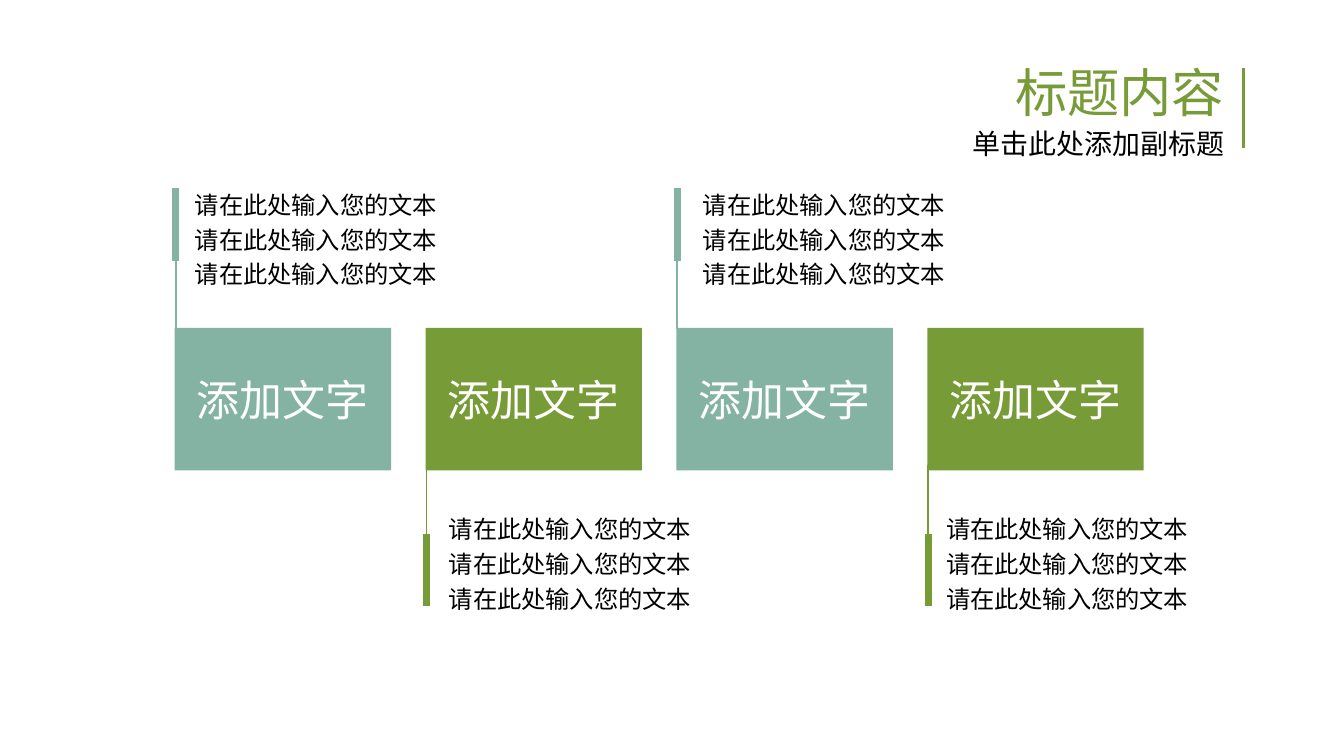
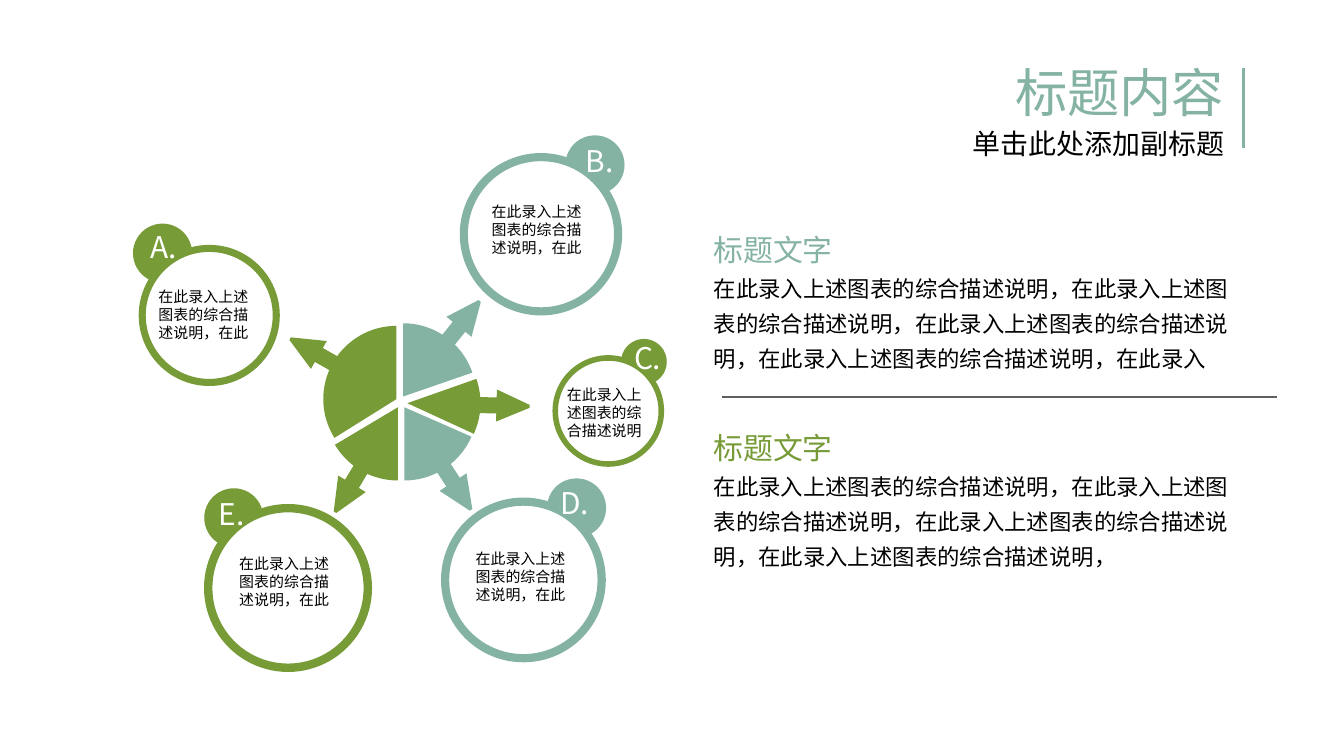
from math import acos, atan2, cos, degrees, hypot, radians, sin

from lxml import etree
from pptx import Presentation
from pptx.dml.color import RGBColor
from pptx.enum import shapes, text
from pptx.oxml.ns import qn
from pptx.util import Pt

GREEN = RGBColor(0x77, 0x9B, 0x37)
TEAL = RGBColor(0x84, 0xB3, 0xA3)
GREY = RGBColor(0x5F, 0x5F, 0x5F)
BLACK = RGBColor(0, 0, 0)
WHITE = RGBColor(255, 255, 255)
FONT = "Noto Sans CJK SC"

TITLE, SUBTITLE = "标题内容", "单击此处添加副标题"

# Cards: label, colour, left of the note, note above the card
CARD_NOTE = ["请在此处输入您的文本"] * 3
CARDS = [
    ("添加文字", TEAL, 97.9, True),
    ("添加文字", GREEN, 234, False),
    ("添加文字", TEAL, 370.1, True),
    ("添加文字", GREEN, 500.4, False),
]
CARD_LEFT, CARD_TOP, CARD_PITCH = 93.6, 175.7, 134.4
CARD_WIDTH, CARD_HEIGHT = 115.9, 76.3
# Stem ends and note top, for notes above and below
STEMS = {
    True: {"thin": (176.4, 138), "thick": (139.7, 100.8), "note_top": 95},
    False: {"thin": (249, 288), "thick": (286, 324.7), "note_top": 267.8},
}

# Pie sectors: colour, apex, start, end and arrow angle (clockwise from east)
SECTORS = [
    (TEAL, (216, 212.4), 270, 341, 308.7),
    (GREEN, (212.4, 213.8), 148, 270, 209.6),
    (GREEN, (218.2, 216), -19.4, 24.7, 1.5),
    (TEAL, (216.7, 218.2), 23.7, 90, 57),
    (GREEN, (213.1, 218.2), 90, 149.2, 120.9),
]
SECTOR_RADIUS, ARROW_NECK, ARROW_TIP = 39.2, 47.8, 65.5
SHAFT_HALF, HEAD_HALF, TIP_HALF = 4.3, 8.6, 0.8

# Bubbles: letter, colour, ring centre and diameter, badge centre and diameter,
# letter box (left, top, width), note box (left, top, width), note
LONG_NOTE = "在此录入上述图表的综合描述说明，在此"
SHORT_NOTE = "在此录入上述图表的综合描述说明"
BUBBLES = [
    ("A.", GREEN, (112.1, 169), 75.6, (87.1, 135.7), 31.7,
     (73.4, 118.8, 29.5), (77.8, 150.5, 67), LONG_NOTE),
    ("B.", TEAL, (289.8, 125.5), 87, (318.8, 88.4), 31.7,
     (306.7, 72.7, 29.5), (256.3, 105.1, 67), LONG_NOTE),
    ("C.", GREEN, (325.9, 220.2), 59.8, (345, 193.9), 24.5,
     (332.6, 178.6, 31), (296.6, 203, 57.6), SHORT_NOTE),
    ("D.", TEAL, (280.4, 310.7), 88.3, (308.9, 272.2), 31.7,
     (293, 256.3, 31), (247.7, 290.9, 64.1), LONG_NOTE),
    ("E.", GREEN, (154.3, 315), 90, (125.3, 277.5), 31.7,
     (110.2, 262.1, 28.8), (121, 293.8, 63.4), LONG_NOTE),
]
RING_RATIO = 0.05

SENTENCE = "在此录入上述图表的综合描述说明，"
SECTIONS = [
    ("标题文字", TEAL, SENTENCE * 4 + "在此录入"),
    ("标题文字", GREEN, SENTENCE * 4),
]


def set_all(target, values):
    for name, value in values.items():
        setattr(target, name, value)


def place(shape, left, top, width, height):
    set_all(shape, {"left": Pt(left), "top": Pt(top),
                    "width": Pt(width), "height": Pt(height)})


def write(shape, paras, spacing=1.0, align=text.PP_ALIGN.LEFT,
          anchor=text.MSO_ANCHOR.TOP, wrap=True, inset=7.2):
    """Fill a shape with (text, size, colour, space before) paragraphs."""
    frame = shape.text_frame
    set_all(frame, {
        "word_wrap": wrap, "auto_size": text.MSO_AUTO_SIZE.NONE,
        "vertical_anchor": anchor,
        "margin_left": Pt(inset), "margin_right": Pt(inset),
        "margin_top": Pt(3.6), "margin_bottom": Pt(3.6),
    })
    for index, (words, size, colour, before) in enumerate(paras):
        para = frame.add_paragraph() if index else frame.paragraphs[0]
        set_all(para, {"alignment": align, "line_spacing": spacing,
                       "space_before": Pt(before), "space_after": Pt(0)})
        if shape.is_placeholder:
            props = para._p.get_or_add_pPr()
            props.set("marL", "0")
            props.set("indent", "0")
            etree.SubElement(props, qn("a:buNone"))
        span = para.add_run()
        span.text = words
        set_all(span.font, {"size": Pt(size), "name": FONT})
        span.font.color.rgb = colour
        east_asian = etree.SubElement(span._r.get_or_add_rPr(), qn("a:ea"))
        east_asian.set("typeface", FONT)


def add_text(page, left, top, width, height, paras, **style):
    box = page.shapes.add_textbox(Pt(left), Pt(top), Pt(width), Pt(height))
    write(box, paras, **style)


def paint(shape, colour):
    shape.shadow.inherit = False
    shape.fill.solid()
    shape.fill.fore_color.rgb = colour
    shape.line.fill.background()


def add_shape(page, kind, left, top, width, height, colour):
    shape = page.shapes.add_shape(kind, Pt(left), Pt(top), Pt(width), Pt(height))
    paint(shape, colour)
    return shape


def add_line(page, start, end, colour, weight):
    line = page.shapes.add_connector(
        shapes.MSO_CONNECTOR.STRAIGHT, *map(Pt, start + end))
    line.line.color.rgb = colour
    line.line.width = Pt(weight)
    etree.SubElement(line._element.spPr, qn("a:effectLst"))


def add_page(deck, layout, colour):
    page = deck.slides.add_slide(deck.slide_layouts[layout])
    place(page.shapes.title, 388, 32.4, 275, 36)
    heading = {"spacing": 0.9, "align": text.PP_ALIGN.RIGHT}
    write(page.shapes.title, [(TITLE, 28, colour, 0)], **heading)
    add_text(page, 388, 66.2, 275, 28.8, [(SUBTITLE, 15, BLACK, 0)], **heading)
    add_line(page, (666, 36.7), (666, 79.2), colour, 1.5)
    return page


def add_card(page, index, label, colour, note_left, above):
    left = CARD_LEFT + index * CARD_PITCH
    stem = STEMS[above]
    for part, weight in (("thin", 1), ("thick", 3.5)):
        start, end = stem[part]
        add_line(page, (left + 0.5, start), (left + 0.5, end), colour, weight)
    anchor = text.MSO_ANCHOR.TOP if above else text.MSO_ANCHOR.BOTTOM
    add_text(page, note_left, stem["note_top"], 155.5, 64.1,
             [(line, 13, BLACK, 0) for line in CARD_NOTE],
             spacing=1.2, anchor=anchor, inset=6.5)
    card = add_shape(page, shapes.MSO_SHAPE.RECTANGLE, left, CARD_TOP,
                     CARD_WIDTH, CARD_HEIGHT, colour)
    write(card, [(label, 23, WHITE, 0)], align=text.PP_ALIGN.CENTER,
          anchor=text.MSO_ANCHOR.MIDDLE, inset=6.5)


def add_sector(page, colour, apex, start, end, arrow):
    """Draw a pie sector whose arc carries an arrow pointing outwards."""
    def polar(angle, along, across=0):
        turn = radians(angle)
        return (Pt(apex[0] + along * cos(turn) - across * sin(turn)),
                Pt(apex[1] + along * sin(turn) + across * cos(turn)))

    def arc(first, last, steps=16):
        return [polar(first + (last - first) * step / steps, SECTOR_RADIUS)
                for step in range(steps + 1)]

    half = degrees(SHAFT_HALF / SECTOR_RADIUS)
    outline = [(ARROW_NECK, -SHAFT_HALF), (ARROW_NECK, -HEAD_HALF),
               (ARROW_TIP, -TIP_HALF), (ARROW_TIP, TIP_HALF),
               (ARROW_NECK, HEAD_HALF), (ARROW_NECK, SHAFT_HALF)]
    points = (arc(start, arrow - half)
              + [polar(arrow, *point) for point in outline]
              + arc(arrow + half, end))
    builder = page.shapes.build_freeform(*polar(0, 0))
    builder.add_line_segments(points, close=True)
    paint(builder.convert_to_shape(), colour)


def add_disc(page, kind, centre, diameter, colour):
    return add_shape(page, kind, centre[0] - diameter / 2,
                     centre[1] - diameter / 2, diameter, diameter, colour)


def add_bubble(page, letter, colour, ring_at, ring_size, badge_at, badge_size,
               letter_box, note_box, note):
    ring = add_disc(page, shapes.MSO_SHAPE.DONUT, ring_at, ring_size, colour)
    ring.adjustments[0] = RING_RATIO

    # The badge is cut where its circle meets the ring
    across, down = ring_at[0] - badge_at[0], ring_at[1] - badge_at[1]
    gap, radius = hypot(across, down), badge_size / 2
    facing = degrees(atan2(down, across))
    half = degrees(acos((gap**2 + radius**2 - (ring_size / 2)**2)
                        / (2 * gap * radius)))
    badge = add_disc(page, shapes.MSO_SHAPE.CHORD, badge_at, badge_size, colour)
    for index, angle in enumerate((facing + half, facing - half)):
        badge.adjustments[index] = angle % 360 * 0.6  # 60000ths over 100000

    add_text(page, *letter_box, 26.6, [(letter, 16, WHITE, 0)], wrap=False)
    add_text(page, *note_box, 36, [(note, 8, BLACK, 0)])


def main():
    deck = Presentation()
    deck.slide_width, deck.slide_height = Pt(720), Pt(405)

    page = add_page(deck, 5, GREEN)
    for index, card in enumerate(CARDS):
        add_card(page, index, *card)

    page = add_page(deck, 1, TEAL)
    for sector in SECTORS:
        add_sector(page, *sector)
    paras = []
    for heading, colour, body in SECTIONS:
        paras += [(heading, 16, colour, 25 if paras else 0),
                  (body, 12, BLACK, 0)]
    body = page.placeholders[1]
    place(body, 375.1, 114.5, 296.6, 196.6)
    write(body, paras, spacing=1.3)
    for bubble in BUBBLES:
        add_bubble(page, *bubble)
    add_line(page, (386.6, 212.8), (684, 212.8), GREY, 1)

    deck.save("out.pptx")


if __name__ == "__main__":
    main()
